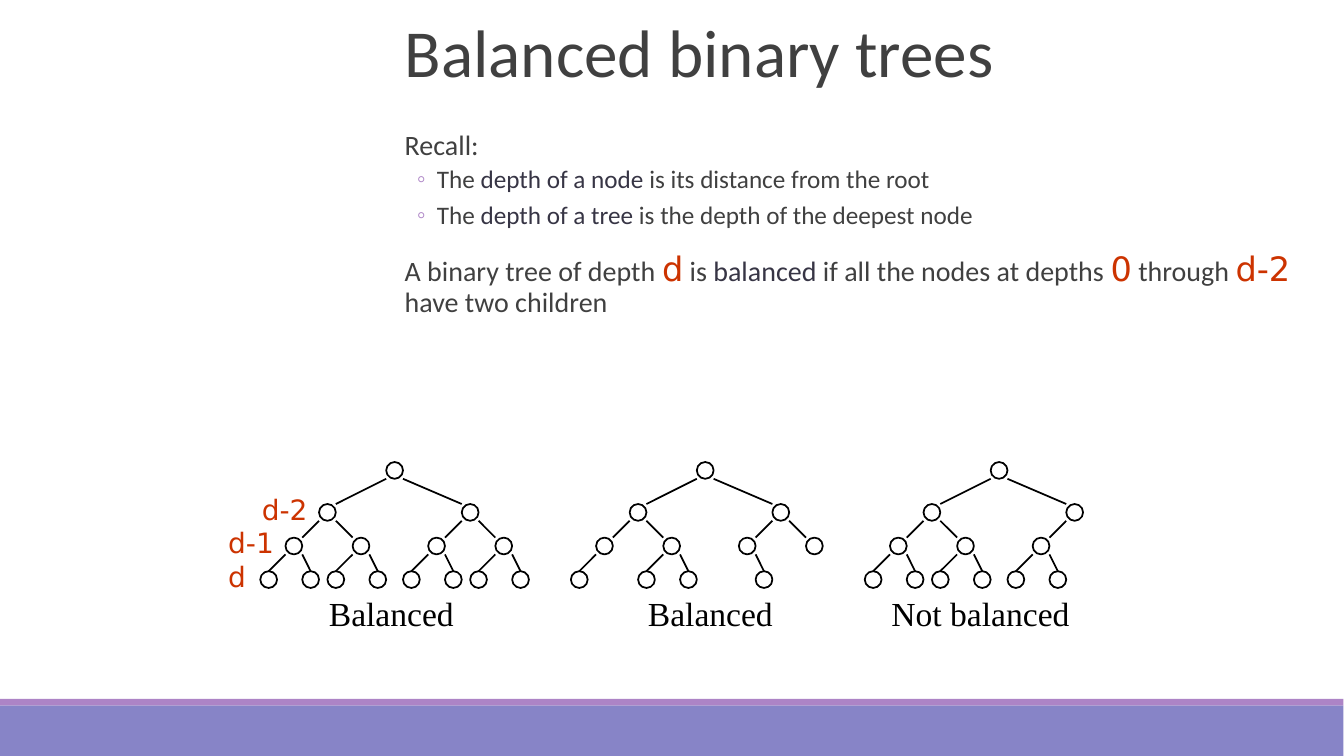
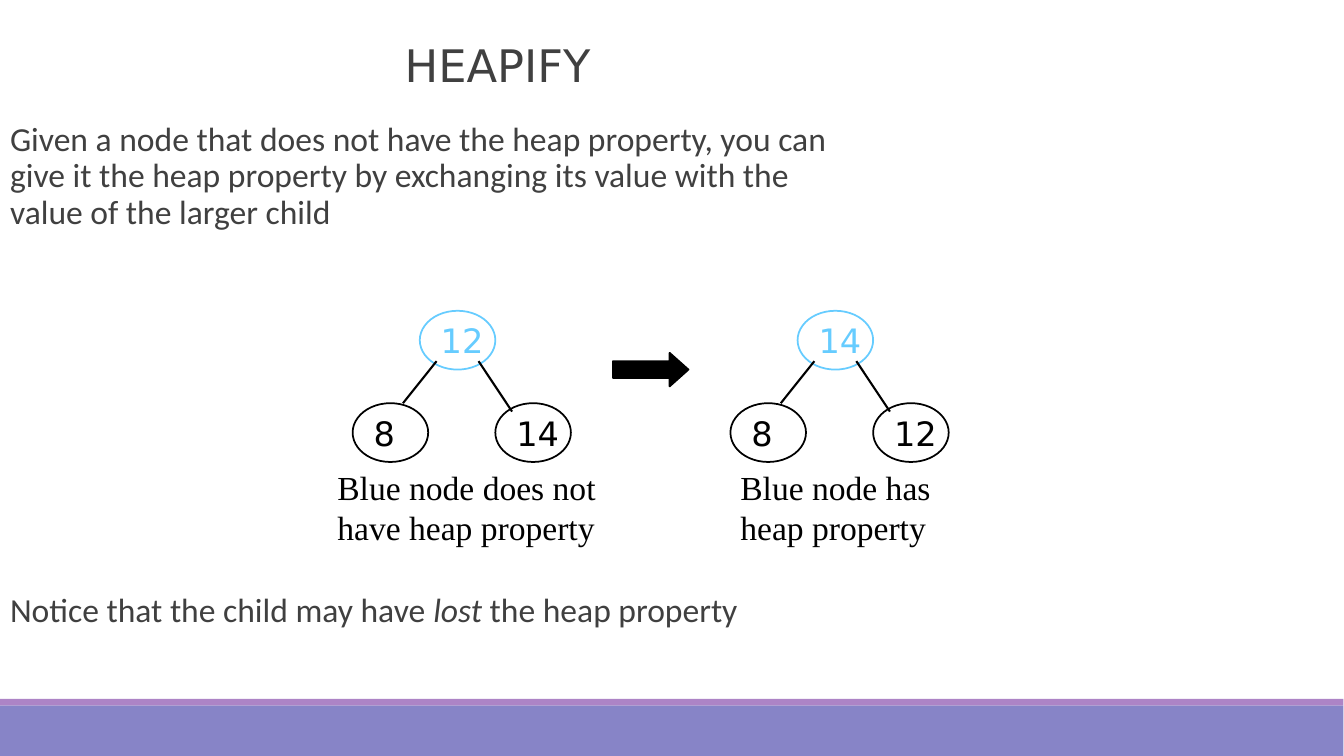
import pptx
import pptx.util
import pptx.dml.color
import pptx.enum.shapes
import pptx.enum.text
import pptx.oxml
import pptx.oxml.ns

SHAPE = pptx.enum.shapes.MSO_SHAPE
ANCHOR = pptx.enum.text.MSO_ANCHOR
LEFT = pptx.enum.text.PP_ALIGN.LEFT
NO_FIT = pptx.enum.text.MSO_AUTO_SIZE.NONE

# Layout numbers in the template
ONE_LIST, TWO_LISTS = 1, 3


def cells(count):
    """Grid unit: 12 columns or rows to the inch."""
    return pptx.util.Inches(count / 12)


def color(hex_string):
    return pptx.dml.color.RGBColor.from_string(hex_string)


def drawing_element(tag, **attributes):
    element = pptx.oxml.parse_xml(f"<a:{tag} {pptx.oxml.ns.nsdecls('a')}/>")
    for name, value in attributes.items():
        element.set(name, value)
    return element


class Deck:
    SANS, SERIF, MATH = "Calibri", "Times New Roman", "DejaVu Sans"
    TEXT, TERM, RED, BLUE, BLACK = "404040", "373545", "CC3300", "66CCFF", "000000"
    BAND, STRIPE = "8784C7", "AD84C6"

    def __init__(self):
        self.prs = pptx.Presentation()
        self.prs.slide_width = pptx.util.Inches(13.34)
        self.prs.slide_height = pptx.util.Inches(7.5)
        self.slide = None

    def add_slide(self, layout):
        first = self.slide is None
        self.slide = self.prs.slides.add_slide(self.prs.slide_layouts[layout])
        if first:
            self.put_bands_on_master()

    def put_bands_on_master(self):
        tree = self.prs.slide_master.element.cSld.spTree
        for top, height, fill in ((84, 6, self.BAND), (83.2, 0.8, self.STRIPE)):
            band = self.shape(SHAPE.RECTANGLE, 0, top, 160, height, fill=fill)
            tree.insert(2, band.element)

    # Text
    def place(self, holder, left, top, width, height):
        holder.left, holder.top = cells(left), cells(top)
        holder.width, holder.height = cells(width), cells(height)

    def runs(self, paragraph, parts, size, font, ink):
        """Each part is a string or (string, changes of style)."""
        for part in parts:
            words, changes = (part, {}) if isinstance(part, str) else part
            run = paragraph.add_run()
            run.text = words
            run.font.size = pptx.util.Pt(changes.get("size", size))
            run.font.name = changes.get("font", font)
            run.font.color.rgb = color(changes.get("ink", ink))
            if "italic" in changes:
                run.font.italic = changes["italic"]

    def title(self, words, size, font):
        holder = self.slide.shapes.title
        self.place(holder, 47, 2, 113, 9.5)
        frame = holder.text_frame
        frame.auto_size = NO_FIT
        frame.vertical_anchor = ANCHOR.BOTTOM
        heading = frame.paragraphs[0]
        heading.alignment = LEFT
        heading.line_spacing = 0.85
        self.runs(heading, [words], size, font, self.TEXT)

    def body(self, index, at, items, size):
        """Each item is (level, parts); level 1 is bulleted."""
        holder = self.slide.placeholders[index]
        self.place(holder, *at)
        frame = holder.text_frame
        frame.auto_size = NO_FIT
        frame.word_wrap = True
        frame.vertical_anchor = ANCHOR.TOP
        frame.margin_left = frame.margin_right = 0
        for number, (level, parts) in enumerate(items):
            item = frame.add_paragraph() if number else frame.paragraphs[0]
            margin, indent, before, after = ((0.1, 0, 12, 2), (0.42, -0.2, 2, 4))[level]
            item.level = level
            item.alignment = LEFT
            item.line_spacing = 0.9
            item.space_before = pptx.util.Pt(before if number else 0)
            item.space_after = pptx.util.Pt(after)
            props = item._p.get_or_add_pPr()
            props.set("marL", str(pptx.util.Inches(margin)))
            props.set("indent", str(pptx.util.Inches(indent)))
            if level:
                bullet_color = drawing_element("buClr")
                bullet_color.append(drawing_element("srgbClr", val=self.STRIPE))
                props.append(bullet_color)
                props.append(drawing_element("buChar", char="◦"))
            else:
                props.append(drawing_element("buNone"))
            self.runs(item, parts, size - 2 * level, self.SANS, self.TEXT)

    def label(self, words, left, top, width, height, size=24, font=SERIF, ink=BLACK):
        box = self.slide.shapes.add_textbox(
            cells(left), cells(top), cells(width), cells(height))
        box.text_frame.word_wrap = True
        self.runs(box.text_frame.paragraphs[0], [words], size, font, ink)

    # Shapes
    def shape(self, kind, left, top, width, height, fill=None, line=None):
        drawn = self.slide.shapes.add_shape(
            kind, cells(left), cells(top), cells(width), cells(height))
        drawn.shadow.inherit = False
        if fill:
            drawn.fill.solid()
            drawn.fill.fore_color.rgb = color(fill)
        else:
            drawn.fill.background()
        if line:
            drawn.line.color.rgb = color(line)
            drawn.line.width = pptx.util.Pt(1.25)
        else:
            drawn.line.fill.background()
        return drawn

    def node(self, left, top, width, height, value="", ink=BLACK):
        circle = self.shape(SHAPE.OVAL, left, top, width, height, line=ink)
        if value:
            frame = circle.text_frame
            frame.word_wrap = False
            frame.vertical_anchor = ANCHOR.MIDDLE
            frame.paragraphs[0].alignment = LEFT
            self.runs(frame.paragraphs[0], [value], 24, self.MATH, ink)

    def edge(self, x1, y1, x2, y2, weight=1.25):
        line = self.slide.shapes.add_connector(
            pptx.enum.shapes.MSO_CONNECTOR.STRAIGHT,
            cells(x1), cells(y1), cells(x2), cells(y2))
        line.line.color.rgb = color(self.BLACK)
        line.line.width = pptx.util.Pt(weight)
        line.element.spPr.append(drawing_element("effectLst"))

    # Trees
    def depth_tree(self, left, missing, branch=""):
        """Draw the subtree at a branch such as "LR", skipping missing ones."""
        tops = (55, 60, 64, 68)
        steps = ({"L": -8, "R": 9}, {"L": -4, "R": 4}, {"L": -3, "R": 2})
        size, depth = 2, len(branch)
        self.node(left, tops[depth], size, size)
        if depth == len(steps):
            return
        for side, step in steps[depth].items():
            if branch + side in missing:
                continue
            child = left + step
            start = left if side == "L" else left + size
            inner_edge = child + size if side == "L" else child
            end = child + size / 2 if depth == 2 else inner_edge
            self.edge(end, tops[depth + 1], start, tops[depth] + size)
            self.depth_tree(child, missing, branch + side)

    def heap(self, left, root, children):
        self.node(left, 37, 9, 7, root, self.BLUE)
        for step, value in zip((-8, 9), children):
            self.node(left + step, 48, 9, 7, value)
        self.edge(left + 2, 43, left - 2, 48, 1.5)
        self.edge(left + 7, 43, left + 11, 49, 1.5)


def balanced_trees(deck):
    deck.add_slide(ONE_LIST)
    deck.title("Balanced binary trees", 48, deck.SANS)
    term = {"ink": deck.TERM}
    symbol = {"size": 24, "font": deck.MATH, "ink": deck.RED}
    deck.body(1, (47, 15, 112, 34), [
        (0, ["Recall:"]),
        (1, ["The ", ("depth of a node", term), " is its distance from the root"]),
        (1, ["The ", ("depth of a tree", term), " is the depth of the deepest node"]),
        (0, ["A binary tree of depth ", ("d", symbol), " is ", ("balanced", term),
             " if all the nodes at depths ", ("0", symbol), " through ",
             ("d-2", symbol), " have two children"]),
    ], 20)

    # Root column, missing branches, caption and its column and width
    for root, missing, caption, left, width in (
            (46, (), "Balanced", 38, 18),
            (83, ("LLR", "RLL", "RRL", "RRR"), "Balanced", 76, 19),
            (118, ("RR",), "Not balanced", 105, 25)):
        deck.depth_tree(root, missing)
        deck.label(caption, left, 70, width, 6)

    # Depth labels
    for depth, left, top in (("d-2", 30, 58), ("d-1", 26, 62), ("d", 26, 66)):
        deck.label(depth, left, top, 9, 5, 20, deck.MATH, deck.RED)


def heapify(deck):
    deck.add_slide(TWO_LISTS)
    deck.title("HEAPIFY", 32, deck.MATH)
    deck.body(1, (0, 14, 102, 20), [
        (0, ["Given a node that does not have the heap property, you can give it "
             "the heap property by exchanging its value with the value of the "
             "larger child"])], 24)
    deck.body(2, (0, 70, 103, 17), [
        (0, ["Notice that the child may have ", ("lost", {"italic": True}),
             " the heap property"])], 24)

    # Before and after the exchange
    for left, root, children, caption, start, width in (
            (50, "12", ("8", "14"), "Blue node does not have heap property", 39, 34),
            (95, "14", ("8", "12"), "Blue node has heap property", 87, 26)):
        deck.heap(left, root, children)
        deck.label(caption, start, 55, width, 10.8)
    arrow = deck.shape(SHAPE.RIGHT_ARROW, 73, 42, 9, 4, deck.BLACK, deck.BLACK)
    arrow.adjustments[1] = 0.56


def main():
    deck = Deck()
    balanced_trees(deck)
    heapify(deck)
    deck.prs.save("out.pptx")


if __name__ == "__main__":
    main()
